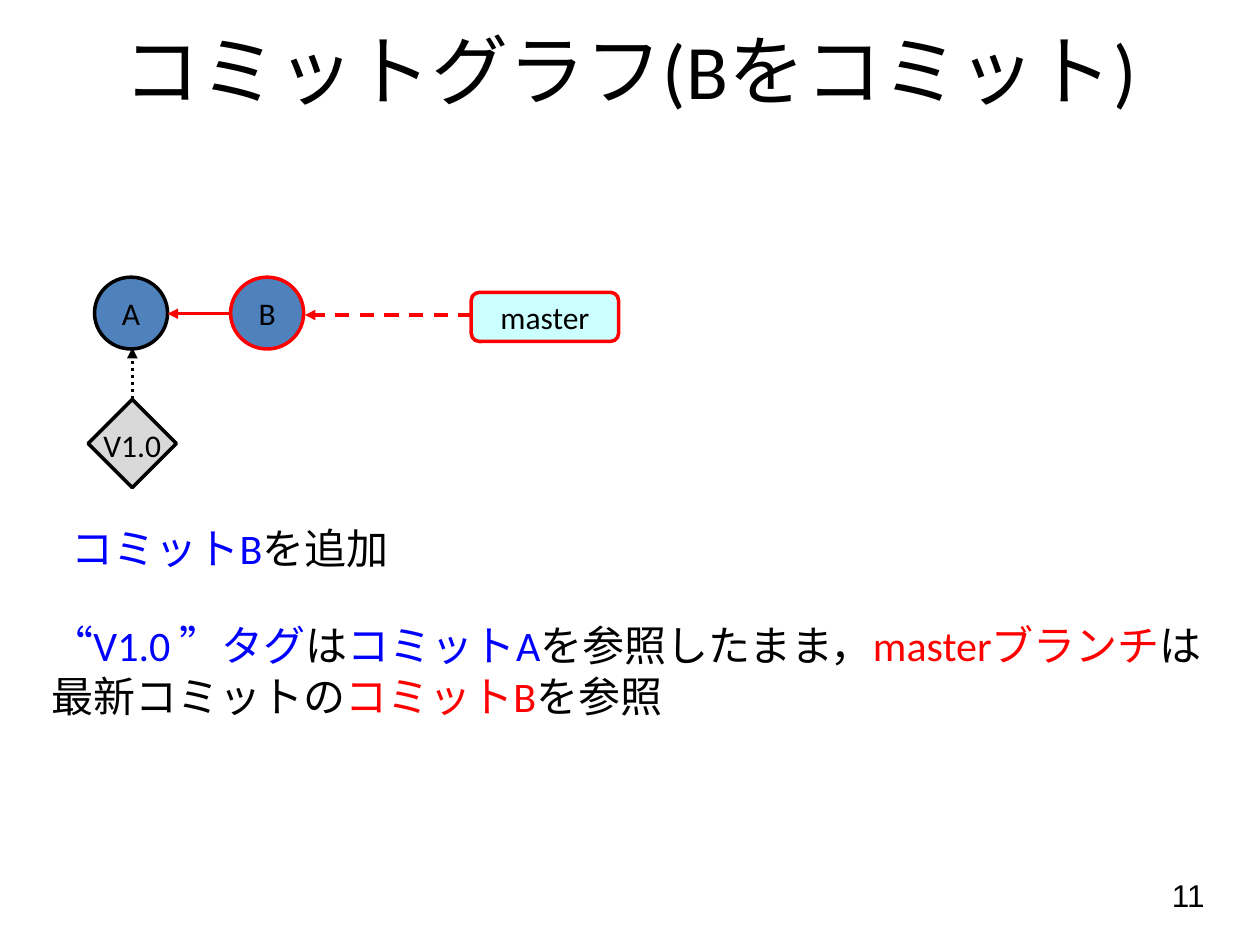
"""Build a slide showing a commit graph after commit B."""
from dataclasses import dataclass
from typing import Optional

from lxml import etree
from pptx import Presentation
from pptx.dml.color import RGBColor
from pptx.enum import dml, shapes, text
from pptx.oxml import ns
from pptx.util import Inches, Pt

BLACK, RED, BLUE = "000000", "FF0000", "0000FF"
SHAPE, DASH = shapes.MSO_SHAPE, dml.MSO_LINE
LEFT, CENTER, RIGHT = text.PP_ALIGN.LEFT, text.PP_ALIGN.CENTER, text.PP_ALIGN.RIGHT
TOP, MIDDLE = text.MSO_ANCHOR.TOP, text.MSO_ANCHOR.MIDDLE


@dataclass
class Node:
    """A labelled or plain shape of the graph."""
    kind: shapes.MSO_SHAPE
    place: tuple
    fill: str
    line: str
    label: str = ""


@dataclass
class Arrow:
    """A line whose arrowhead sits at its target."""
    start: tuple
    target: tuple
    color: str
    dash: Optional[dml.MSO_LINE] = None


@dataclass
class Caption:
    """A text box holding paragraphs of coloured spans."""
    place: tuple
    paras: list
    size: int = 24
    align: text.PP_ALIGN = LEFT
    font: str = "Calibri"
    wrap: bool = True


NODES = [
    Node(SHAPE.OVAL, (0.75, 2.2, 0.58, 0.57), "4F81BD", BLACK, "A"),
    Node(SHAPE.OVAL, (1.83, 2.2, 0.58, 0.57), "4F81BD", RED, "B"),
    Node(SHAPE.DIAMOND, (0.7, 3.17, 0.7, 0.7), "D9D9D9", BLACK),
    Node(SHAPE.ROUNDED_RECTANGLE, (3.74, 2.32, 1.17, 0.39), "CCFFFF", RED, "master"),
]
ARROWS = [
    Arrow((1.83, 2.49), (1.33, 2.49), RED),
    Arrow((1.05, 3.17), (1.05, 2.76), BLACK, DASH.ROUND_DOT),
    Arrow((3.75, 2.5), (2.42, 2.5), RED, DASH.DASH),
]
CAPTIONS = [
    Caption((7.33, 6.9, 2.33, 0.52), [[("11", BLACK)]], 18, RIGHT, "Arial"),
    Caption((0.7, 3.33, 0.7, 0.4), [[("V1.0", BLACK)]], 18, CENTER, wrap=False),
    Caption((0.47, 4.1, 4.92, 0.5), [[("コミットB", BLUE), ("を追加", BLACK)]]),
    Caption((0.31, 4.87, 9.45, 0.9), [
        [("“V1.0 ”タグ", BLUE), ("は", BLACK), ("コミットA", BLUE),
         ("を参照したまま，", BLACK), ("masterブランチ", RED), ("は", BLACK)],
        [("最新コミットの", BLACK), ("コミットB", RED), ("を参照", BLACK)],
    ]),
]


def apply(target, values: dict) -> None:
    """Set each attribute of the target from the values."""
    for name, value in values.items():
        setattr(target, name, value)


def paint(color_format, color: str) -> None:
    """Give a fill or font colour its hex value."""
    color_format.rgb = RGBColor.from_string(color)


def write(frame, paras: list, size: int, align, anchor, font: str = "Calibri",
          wrap: bool = True) -> None:
    """Fill a text frame with paragraphs of coloured spans."""
    apply(frame, {"word_wrap": wrap, "vertical_anchor": anchor,
                  "auto_size": text.MSO_AUTO_SIZE.NONE})
    for index, spans in enumerate(paras):
        para = frame.add_paragraph() if index else frame.paragraphs[0]
        para.alignment = align
        for words, color in spans:
            span = para.add_run()
            span.text = words
            apply(span.font, {"name": font, "size": Pt(size)})
            paint(span.font.color, color)


def draw_node(page, node: Node) -> None:
    """Draw one graph node."""
    box = page.shapes.add_shape(node.kind, *map(Inches, node.place))
    box.shadow.inherit = False
    box.fill.solid()
    paint(box.fill.fore_color, node.fill)
    paint(box.line.color, node.line)
    box.line.width = Pt(2)
    if node.label:
        write(box.text_frame, [[(node.label, BLACK)]], 18, CENTER, MIDDLE, wrap=False)


def draw_arrow(page, arrow: Arrow) -> None:
    """Draw one arrow between nodes."""
    connector = page.shapes.add_connector(
        shapes.MSO_CONNECTOR.STRAIGHT, *map(Inches, arrow.start + arrow.target))
    paint(connector.line.color, arrow.color)
    apply(connector.line, {"width": Pt(2), "dash_style": arrow.dash})
    etree.SubElement(connector.line._get_or_add_ln(), ns.qn("a:tailEnd"), type="triangle")
    etree.SubElement(connector._element.spPr, ns.qn("a:effectLst"))


def draw_caption(page, caption: Caption) -> None:
    """Draw one text box."""
    box = page.shapes.add_textbox(*map(Inches, caption.place))
    write(box.text_frame, caption.paras, caption.size, caption.align, TOP,
          caption.font, caption.wrap)


def main() -> None:
    """Build and save the deck."""
    deck = Presentation()
    apply(deck, {"slide_width": Inches(10), "slide_height": Inches(7.5)})
    page = deck.slides.add_slide(deck.slide_layouts[5])
    title = page.shapes.title
    apply(title, {"left": Inches(0), "top": Inches(-0.08),
                  "width": Inches(10), "height": Inches(1.25)})
    write(title.text_frame, [[("コミットグラフ(Bをコミット)", BLACK)]], 44, CENTER, MIDDLE)
    for node in NODES:
        draw_node(page, node)
    for arrow in ARROWS:
        draw_arrow(page, arrow)
    for caption in CAPTIONS:
        draw_caption(page, caption)
    deck.save("out.pptx")


if __name__ == "__main__":
    main()
